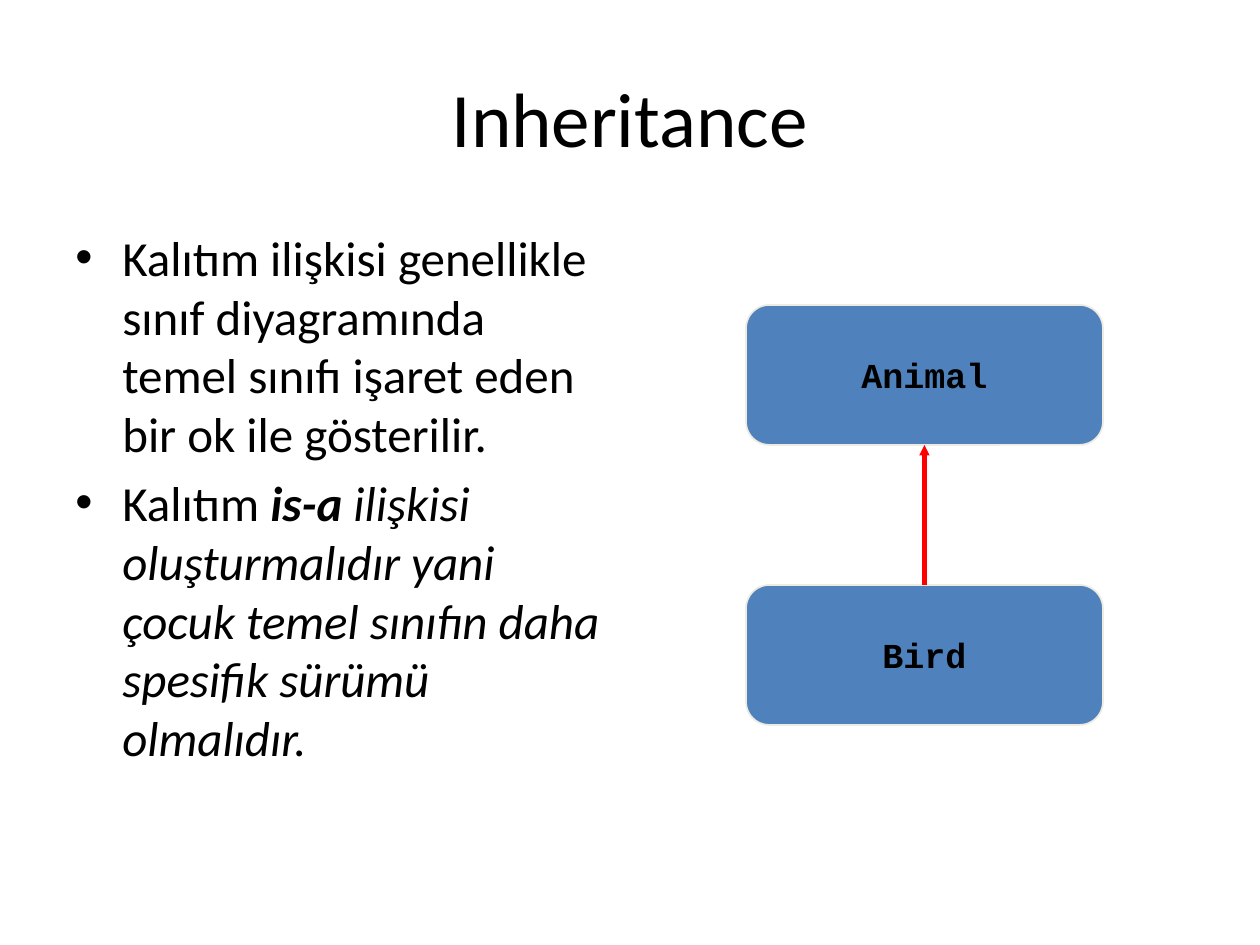
from lxml import etree
from pptx import Presentation
from pptx.dml.color import RGBColor
from pptx.enum.shapes import MSO_CONNECTOR, MSO_SHAPE
from pptx.enum.text import MSO_ANCHOR, PP_ALIGN
from pptx.oxml.ns import qn
from pptx.util import Emu, Pt

STRAIGHT = MSO_CONNECTOR.STRAIGHT
CLASS_BOX = MSO_SHAPE.FLOWCHART_ALTERNATE_PROCESS
TOP, MIDDLE = MSO_ANCHOR.TOP, MSO_ANCHOR.MIDDLE
LEFT, CENTER = PP_ALIGN.LEFT, PP_ALIGN.CENTER

PX = 914400 // 126
SLIDE = (1260, 945)
TITLE = "Inheritance"
TITLE_AT = (63, 38, 1134, 157)
BODY_AT = (63, 221, 557, 624)
BULLET_INDENT = 47
BULLETS = [
    [("Kalıtım ilişkisi genellikle sınıf diyagramında temel sınıfı işaret eden "
      "bir ok ile gösterilir.", {})],
    [("Kalıtım ", {}),
     ("is-a ", {"bold": True, "italic": True}),
     ("ilişkisi oluşturmalıdır yani çocuk temel sınıfın daha spesifik sürümü "
      "olmalıdır.", {"italic": True})],
]
CLASSES = ["Animal", "Bird"]
CLASS_AT = (746, 305, 357, 140)
CLASS_STEP = 280

TITLE_FONT = {"name": "Calibri", "size": Pt(44)}
BODY_FONT = {"name": "Calibri", "size": Pt(28)}
CLASS_FONT = {"name": "Courier New", "size": Pt(20), "bold": True}
BLACK, BLUE, CREAM, RED = "000000", "4F81BD", "EEECE1", "FF0000"


def px(*values):
    return [Emu(v * PX) for v in values]


def paint(color_format, value):
    color_format.rgb = RGBColor.from_string(value)


def add_run(p, text, style):
    r = p.add_run()
    r.text = text
    for name, value in style.items():
        setattr(r.font, name, value)
    paint(r.font.color, BLACK)


def set_frame(tf, anchor, wrap=True):
    tf.word_wrap = wrap
    tf.vertical_anchor = anchor
    return tf.paragraphs[0]


def add_bullet(p):
    pPr = p._p.get_or_add_pPr()
    indent = BULLET_INDENT * PX
    pPr.set("marL", str(indent))
    pPr.set("indent", str(-indent))
    etree.SubElement(pPr, qn("a:buFont")).set("typeface", "Arial")
    etree.SubElement(pPr, qn("a:buChar")).set("char", "•")


def add_title(slide):
    p = set_frame(slide.shapes.add_textbox(*px(*TITLE_AT)).text_frame, MIDDLE)
    p.alignment = CENTER
    add_run(p, TITLE, TITLE_FONT)


def add_body(slide):
    tf = slide.shapes.add_textbox(*px(*BODY_AT)).text_frame
    p = set_frame(tf, TOP)
    for i, runs in enumerate(BULLETS):
        if i:
            p = tf.add_paragraph()
            p.space_before = Pt(5.6)
        p.alignment = LEFT
        add_bullet(p)
        for text, style in runs:
            add_run(p, text, {**BODY_FONT, **style})


def add_class(slide, i, name):
    x, y, w, h = CLASS_AT
    sp = slide.shapes.add_shape(CLASS_BOX, *px(x, y + i * CLASS_STEP, w, h))
    sp.shadow.inherit = False
    sp.fill.solid()
    paint(sp.fill.fore_color, BLUE)
    paint(sp.line.color, CREAM)
    sp.line.width = Pt(1)
    p = set_frame(sp.text_frame, MIDDLE, wrap=False)
    p.alignment = CENTER
    add_run(p, name, CLASS_FONT)
    return sp


def add_arrow(slide, child, parent):
    line = slide.shapes.add_connector(STRAIGHT, 0, 0, 0, 0)
    line.begin_connect(child, 0)
    line.end_connect(parent, 2)
    paint(line.line.color, RED)
    line.line.width = Pt(3)
    tail = etree.SubElement(line.line._get_or_add_ln(), qn("a:tailEnd"))
    for name, value in {"type": "triangle", "w": "sm", "len": "sm"}.items():
        tail.set(name, value)
    etree.SubElement(line._element.spPr, qn("a:effectLst"))


def main():
    """Build the inheritance slide: title, bullets and class diagram."""
    prs = Presentation()
    prs.slide_width, prs.slide_height = px(*SLIDE)
    slide = prs.slides.add_slide(prs.slide_layouts[6])
    add_title(slide)
    add_body(slide)
    parent, child = [add_class(slide, i, name) for i, name in enumerate(CLASSES)]
    add_arrow(slide, child, parent)
    prs.save("out.pptx")


if __name__ == "__main__":
    main()
